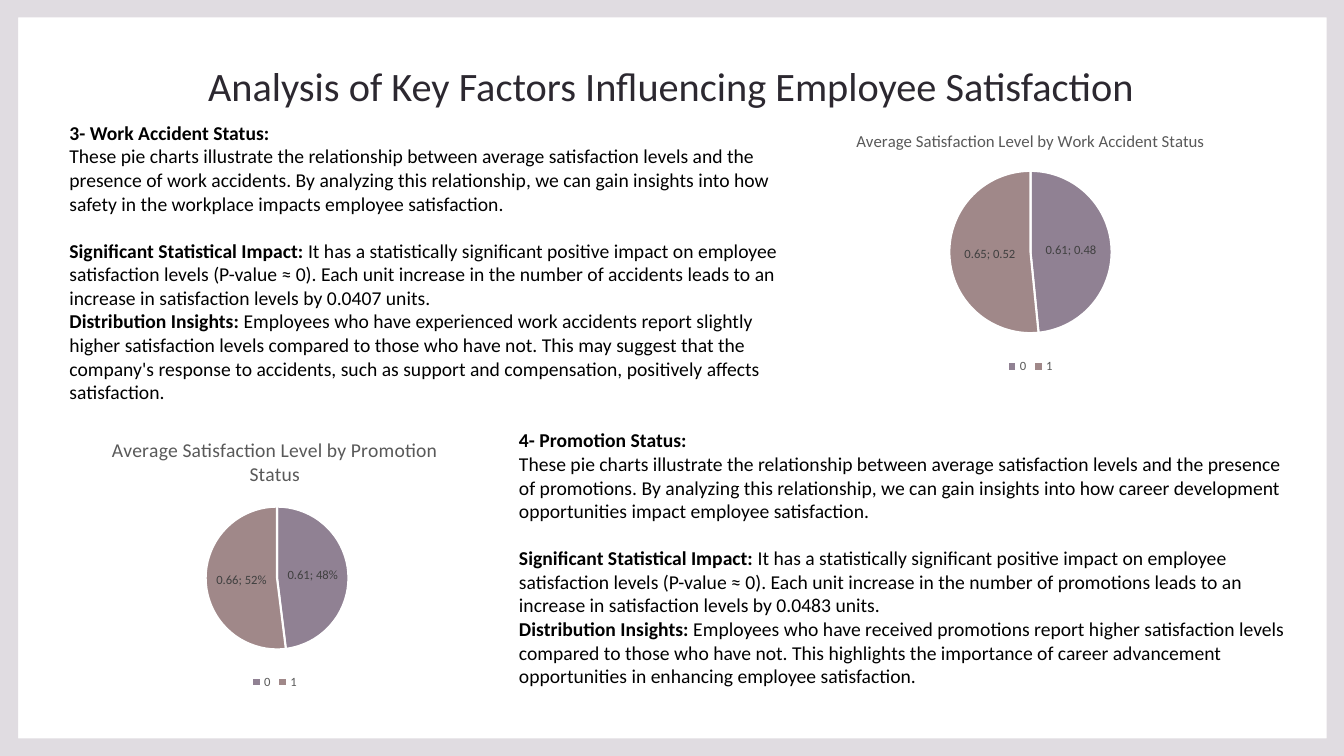
from lxml import etree
from pptx import Presentation
from pptx import util as u
from pptx.chart import data as cd
from pptx.dml.color import RGBColor
from pptx.enum import chart as ch
from pptx.enum import text

Cm, Pt = u.Cm, u.Pt
FONT = "Calibri"
FRAME = RGBColor(0xE0, 0xDC, 0xE1)
DARK = RGBColor(0x2C, 0x28, 0x30)
BLACK = RGBColor(0, 0, 0)
WHITE = RGBColor(0xFF, 0xFF, 0xFF)
GREY = RGBColor(0x59, 0x59, 0x59)
LABEL = RGBColor(0x40, 0x40, 0x40)
SLICES = [RGBColor(0x90, 0x81, 0x93), RGBColor(0xA0, 0x88, 0x89)]
WIDE, HIGH = 33.87, 19.05

IMPACT = "Significant Statistical Impact: "
INSIGHT = "Distribution Insights:"
WORK = [
    ("3- Work Accident Status:", ""),
    ("", "These pie charts illustrate the relationship between average "
     "satisfaction levels and the presence of work accidents. By analyzing "
     "this relationship, we can gain insights into how safety in the "
     "workplace impacts employee satisfaction."),
    (IMPACT, "It has a statistically significant positive impact on employee "
     "satisfaction levels (P-value ≈ 0). Each unit increase in the number of "
     "accidents leads to an increase in satisfaction levels by 0.0407 units."),
    (INSIGHT, " Employees who have experienced work accidents report slightly "
     "higher satisfaction levels compared to those who have not. This may "
     "suggest that the company's response to accidents, such as support and "
     "compensation, positively affects satisfaction."),
]
PROMO = [
    ("4- Promotion Status:", ""),
    ("", "These pie charts illustrate the relationship between average "
     "satisfaction levels and the presence of promotions. By analyzing this "
     "relationship, we can gain insights into how career development "
     "opportunities impact employee satisfaction."),
    (IMPACT, "It has a statistically significant positive impact on employee "
     "satisfaction levels (P-value ≈ 0). Each unit increase in the number of "
     "promotions leads to an increase in satisfaction levels by 0.0483 units."),
    (INSIGHT, " Employees who have received promotions report higher "
     "satisfaction levels compared to those who have not. This highlights the "
     "importance of career advancement opportunities in enhancing employee "
     "satisfaction."),
]


def apply(item, form):
    for key, val in form.items():
        setattr(item, key, val)


def style(font, size, color, bold=False):
    apply(font, {"name": FONT, "size": Pt(size), "bold": bold})
    font.color.rgb = color


def ring(left, top, right, low):
    pts = [(left, top), (left, low), (right, low), (right, top)]
    return [(Cm(x), Cm(y)) for x, y in pts]


def border(slide):
    rim = ring(0, 0, WIDE, HIGH)
    hole = ring(0.46, 0.44, WIDE - 0.44, HIGH - 0.44)[::-1]
    pen = slide.shapes.build_freeform(*rim[0], scale=1.0)
    pen.add_line_segments(rim[1:], close=True)
    pen.move_to(*hole[0])
    pen.add_line_segments(hole[1:], close=True)
    shape = pen.convert_to_shape()
    shape.shadow.inherit = False
    shape.fill.solid()
    shape.fill.fore_color.rgb = FRAME
    shape.line.fill.background()


def head(slide, words):
    title = slide.shapes.title
    apply(title, {"left": Cm(3.43), "top": Cm(2.01),
                  "width": Cm(26.97), "height": Cm(1.27)})
    frame = title.text_frame
    apply(frame, {"text": words, "word_wrap": True,
                  "auto_size": text.MSO_AUTO_SIZE.NONE,
                  "vertical_anchor": text.MSO_ANCHOR.MIDDLE,
                  "margin_bottom": Cm(1.1)})
    para = frame.paragraphs[0]
    para.alignment = text.PP_ALIGN.CENTER
    style(para.runs[0].font, 28.8, DARK)
    # Title sits above the frame
    slide.shapes._spTree.append(title._element)


def prose(slide, place, lines):
    frame = slide.shapes.add_textbox(*map(Cm, place)).text_frame
    frame.word_wrap = True
    for i, pair in enumerate(lines):
        para = frame.add_paragraph() if i else frame.paragraphs[0]
        if pair[0] == IMPACT:
            para.space_before = Pt(17)
        for words, bold in zip(pair, (True, False)):
            if words:
                run = para.add_run()
                run.text = words
                style(run.font, 14, BLACK, bold)


def sub(root, tag, **attrs):
    return etree.SubElement(root, "{%s}%s" % (root.nsmap["c"], tag), attrs)


def layout(chart, area):
    # Fixed place of the pie inside the chart
    plot = chart._chartSpace.chart.plotArea
    for old in plot.xpath("c:layout"):
        plot.remove(old)
    box = sub(plot, "layout")
    plot.insert(0, box)
    man = sub(box, "manualLayout")
    sub(man, "layoutTarget", val="inner")
    for key in ("xMode", "yMode"):
        sub(man, key, val="edge")
    for key, val in zip("xywh", area):
        sub(man, key, val=str(val))


def pie(slide, place, name, size, vals, form, area):
    data = cd.CategoryChartData(number_format="0.00")
    data.categories = ["0", "1"]
    data.add_series("Series 1", vals)
    chart = slide.shapes.add_chart(
        ch.XL_CHART_TYPE.PIE, *map(Cm, place), data).chart
    style(chart.font, 10, BLACK)

    # Title and legend
    chart.has_title = True
    frame = chart.chart_title.text_frame
    frame.text = name
    style(frame.paragraphs[0].runs[0].font, size, GREY)
    chart.has_legend = True
    apply(chart.legend, {"position": ch.XL_LEGEND_POSITION.BOTTOM,
                         "include_in_layout": False})
    style(chart.legend.font, 9, GREY)

    # Slices
    plot = chart.plots[0]
    plot.vary_by_categories = True
    for i, color in enumerate(SLICES):
        look = plot.series[0].points[i].format
        look.fill.solid()
        look.fill.fore_color.rgb = color
        look.line.color.rgb = WHITE
        look.line.width = Pt(1.5)

    # Labels
    tags = plot.series[0].data_labels
    apply(tags, {"show_value": True, "show_percentage": True,
                 "number_format": form, "number_format_is_linked": False,
                 "position": ch.XL_LABEL_POSITION.CENTER})
    style(tags.font, 9, LABEL)
    root = tags._element
    mark = sub(root, "separator")
    mark.text = "; "
    root.xpath("c:showBubbleSize")[0].addnext(mark)
    layout(chart, area)


def main():
    deck = Presentation()
    apply(deck, {"slide_width": Cm(WIDE), "slide_height": Cm(HIGH)})
    slide = deck.slides.add_slide(deck.slide_layouts[5])
    border(slide)
    head(slide, "Analysis of Key Factors Influencing Employee Satisfaction")
    # Work accidents
    prose(slide, (1.5, 2.92, 19.05, 6.83), WORK)
    pie(slide, (19.58, 2.92, 12.78, 6.6),
        "Average Satisfaction Level by Work Accident Status", 12,
        (0.61, 0.65), "0.00", (0.34, 0.21, 0.32, 0.62))
    # Promotions
    pie(slide, (1.12, 10.64, 11.61, 6.83),
        "Average Satisfaction Level by Promotion Status", 14,
        (0.61, 0.66), "0%", (0.35, 0.31, 0.31, 0.53))
    prose(slide, (12.83, 10.67, 19.91, 6.83), PROMO)
    deck.save("out.pptx")


if __name__ == "__main__":
    main()
